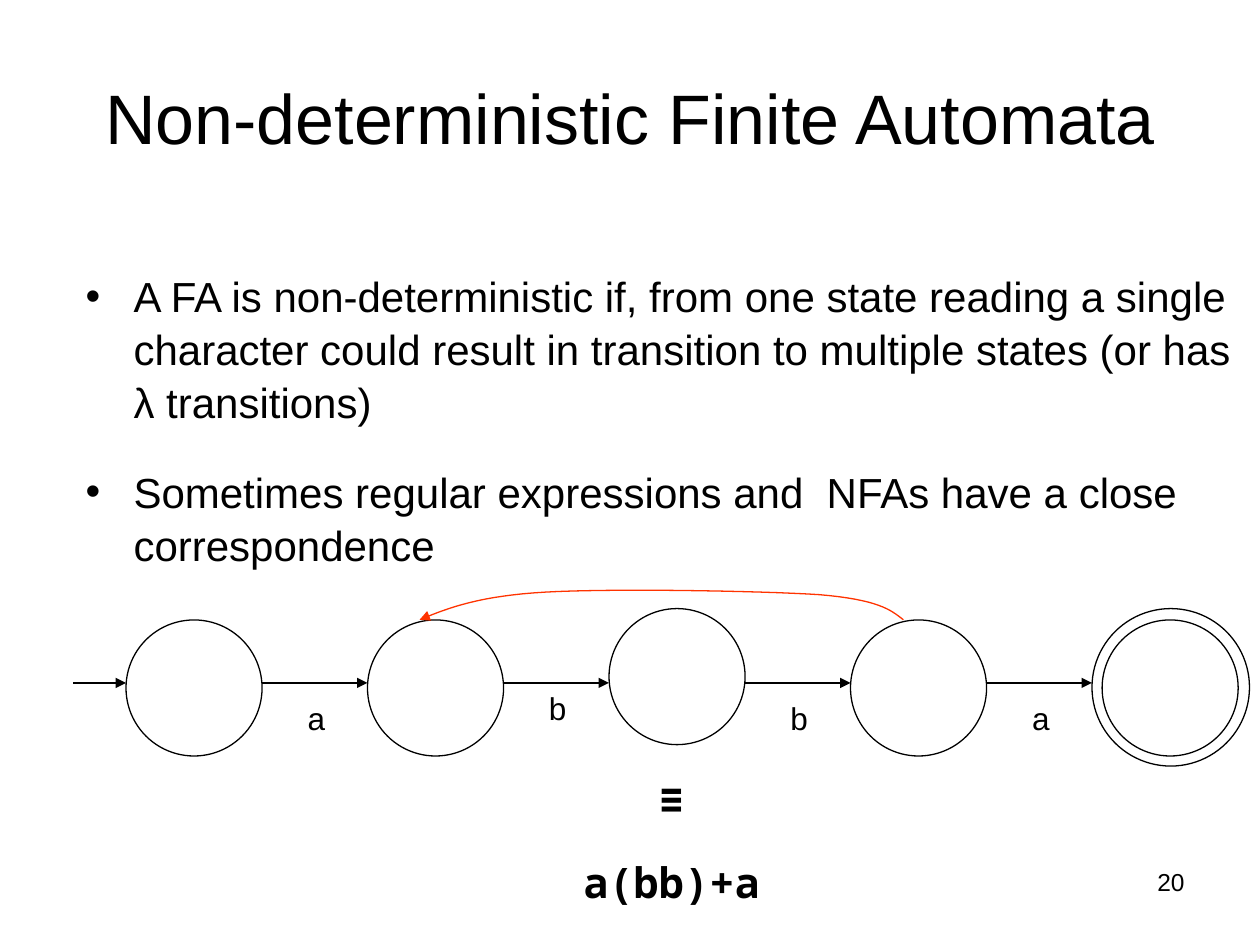
from pptx import Presentation
from pptx.dml.color import RGBColor
from pptx.enum.shapes import MSO_CONNECTOR, MSO_SHAPE
from pptx.enum.text import MSO_ANCHOR, MSO_AUTO_SIZE, PP_ALIGN
from pptx.oxml.ns import qn
from pptx.util import Inches, Pt
from lxml.etree import SubElement

BLACK = RGBColor(0x00, 0x00, 0x00)
RED = RGBColor(0xFF, 0x33, 0x00)

BULLETS = [
    "A FA is non-deterministic if, from one state reading a single character "
    "could result in transition to multiple states (or has λ transitions)",
    "Sometimes regular expressions and  NFAs have a close correspondence",
]
PITCH = 23 / 12
DIAMETER = 1.08
STATE_TOPS = [4.92, 4.83, 4.92]
ARROW_Y = 5.42
TRANSITIONS = [("a", 5.5), ("b", 5.42), ("b", 5.5), ("a", 5.5)]
LOOP = [
    [(7.17, 4.92), (7.07, 4.84), (6.97, 4.76), (6.5, 4.72)],
    [(6.5, 4.72), (6.03, 4.69), (4.86, 4.67), (4.33, 4.7)],
    [(4.33, 4.7), (3.81, 4.73), (3.57, 4.82), (3.33, 4.92)],
]


def bezier_points(curve, steps=16):
    for i in range(1, steps + 1):
        t = i / steps
        weights = [(1 - t) ** 3, 3 * t * (1 - t) ** 2, 3 * t**2 * (1 - t), t**3]
        yield tuple(
            Inches(sum(w * pt[axis] for w, pt in zip(weights, curve)))
            for axis in (0, 1)
        )


class AutomatonSlide:
    font = "Arial"
    line_width = Pt(0.75)

    def __init__(self, prs):
        self.s = prs.slides.add_slide(prs.slide_layouts[1])

    def place(self, sp, box):
        sp.left, sp.top, sp.width, sp.height = [Inches(v) for v in box]

    def format(self, p, size, align, font=None, bold=False):
        p.alignment = align
        for r in p.runs:
            r.font.size = Pt(size)
            r.font.name = font or self.font
            r.font.bold = bold
            r.font.color.rgb = BLACK

    def title(self, text, box):
        sp = self.s.shapes.title
        self.place(sp, box)
        tf = sp.text_frame
        tf.text = text
        tf.auto_size = MSO_AUTO_SIZE.NONE
        tf.vertical_anchor = MSO_ANCHOR.MIDDLE
        self.format(tf.paragraphs[0], 40, PP_ALIGN.CENTER)

    def body(self, items, box):
        sp = self.s.placeholders[1]
        self.place(sp, box)
        tf = sp.text_frame
        tf.text = "\n".join(items)
        tf.auto_size = MSO_AUTO_SIZE.NONE
        for p in tf.paragraphs:
            self.format(p, 24, PP_ALIGN.LEFT)
            p.space_before = Pt(6)
            p.space_after = Pt(15)
            p.line_spacing = 1.05
            pPr = p._p.get_or_add_pPr()
            pPr.set("marL", str(Inches(0.38)))
            pPr.set("indent", str(-Inches(0.38)))
            SubElement(pPr, qn("a:buChar")).set("char", "•")

    def label(self, text, box, size=18, font=None, bold=False,
              align=PP_ALIGN.CENTER, wrap=False):
        sp = self.s.shapes.add_textbox(*[Inches(v) for v in box])
        tf = sp.text_frame
        tf.text = text
        tf.word_wrap = wrap
        if not wrap:
            tf.auto_size = MSO_AUTO_SIZE.SHAPE_TO_FIT_TEXT
        self.format(tf.paragraphs[0], size, align, font, bold)

    def outline(self, sp, color=BLACK):
        sp.fill.background()
        sp.line.color.rgb = color
        sp.line.width = self.line_width
        sp.shadow.inherit = False

    def circle(self, x, y, diameter, shapes=None):
        box = [Inches(v) for v in (x, y, diameter, diameter)]
        sp = (shapes or self.s.shapes).add_shape(MSO_SHAPE.OVAL, *box)
        self.outline(sp)

    def final_state(self, x, y):
        group = self.s.shapes.add_group_shape()
        self.circle(x + 0.08, y + 0.09, DIAMETER, group.shapes)
        self.circle(x, y, 1.25, group.shapes)

    def arrowhead(self, sp):
        SubElement(sp.line._get_or_add_ln(), qn("a:tailEnd")).set("type", "triangle")

    def arrow(self, x1, x2, y):
        c = self.s.shapes.add_connector(
            MSO_CONNECTOR.STRAIGHT, Inches(x1), Inches(y), Inches(x2), Inches(y))
        c.line.color.rgb = BLACK
        c.line.width = self.line_width
        self.arrowhead(c)
        SubElement(c._element.spPr, qn("a:effectLst"))

    def curved_arrow(self, curves, color):
        x, y = curves[0][0]
        builder = self.s.shapes.build_freeform(Inches(x), Inches(y))
        points = [pt for curve in curves for pt in bezier_points(curve)]
        builder.add_line_segments(points, close=False)
        sp = builder.convert_to_shape()
        self.outline(sp, color)
        self.arrowhead(sp)


def main():
    prs = Presentation()
    prs.slide_width, prs.slide_height = Inches(10), Inches(7.5)
    slide = AutomatonSlide(prs)
    slide.title("Non-deterministic Finite Automata", (0.5, 0.3, 9, 1.25))
    slide.body(BULLETS, (0.58, 2.08, 9.42, 4.95))
    slide.label("20", (7.17, 6.83, 2.33, 0.52), 14, align=PP_ALIGN.RIGHT, wrap=True)

    lefts = [1 + i * PITCH for i in range(5)]
    slide.circle(lefts[0], 4.92, DIAMETER)
    for x, y in zip(lefts[1:4], STATE_TOPS):
        slide.circle(x, y, DIAMETER)
    slide.final_state(lefts[4], 4.83)

    slide.arrow(0.58, lefts[0], ARROW_Y)
    for x, (symbol, y) in zip(lefts, TRANSITIONS):
        slide.arrow(x + DIAMETER, x + PITCH, ARROW_Y)
        slide.label(symbol, (x + 1.34, y, 0.34, 0.4))
    slide.curved_arrow(LOOP, RED)

    slide.label("≡", (5.13, 6.08, 0.4, 0.5), 24, "Noto Sans Mono", True)
    slide.label("a(bb)+a", (4.53, 6.75, 1.6, 0.5), 24, "Noto Sans Mono", True)
    prs.save("out.pptx")


if __name__ == "__main__":
    main()
